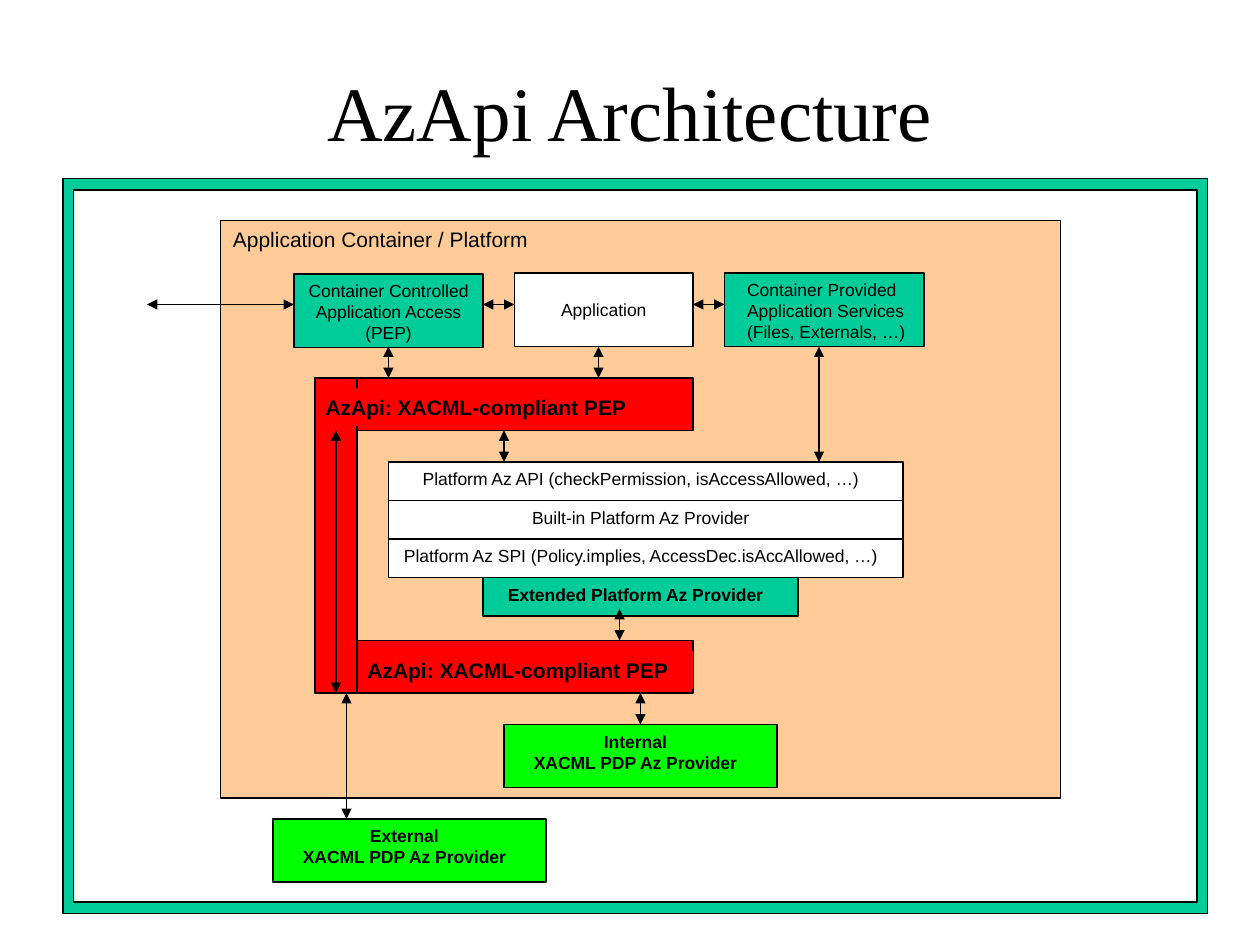
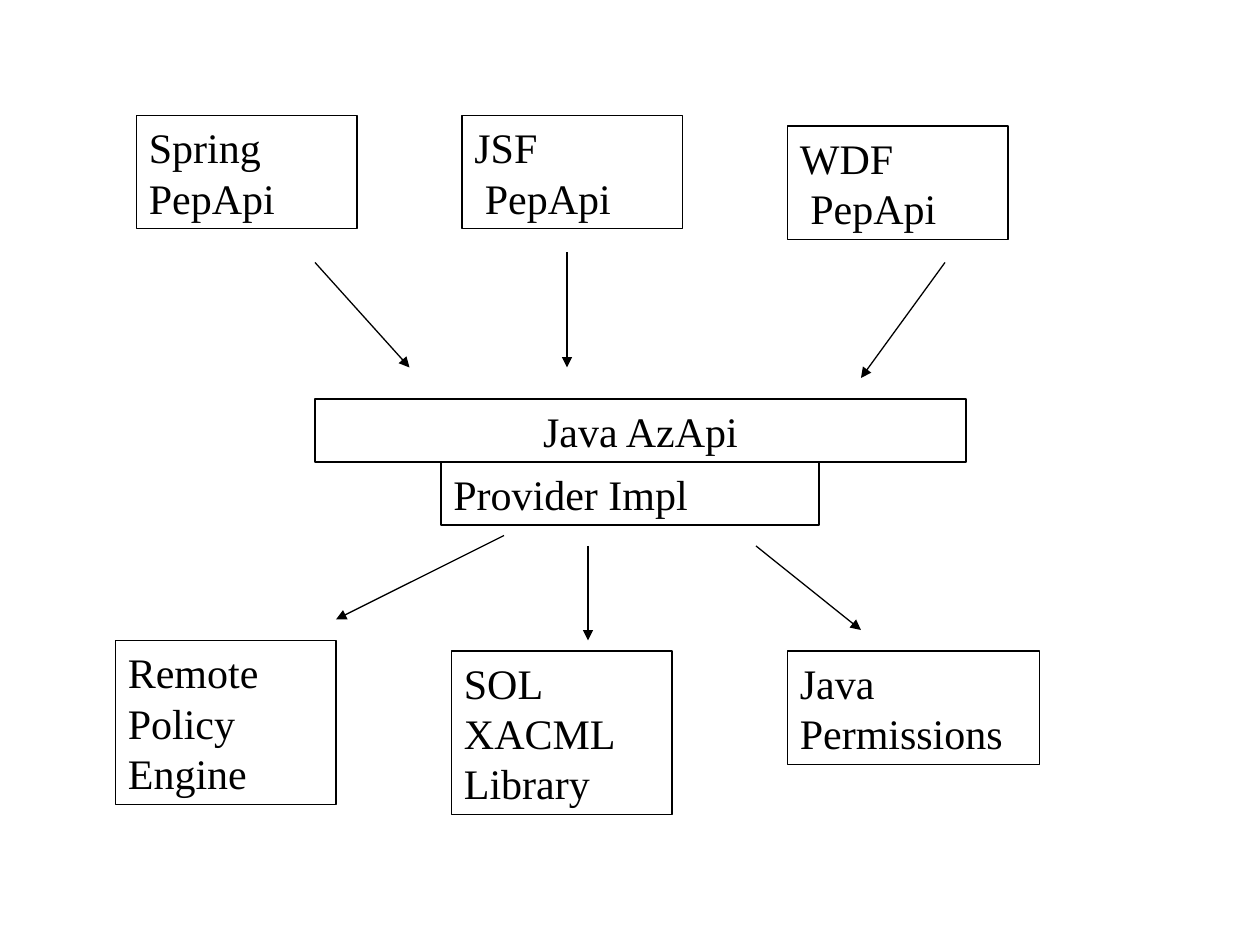
"""Builds the AzApi architecture slides on a grid of twelfths of an inch."""
from dataclasses import dataclass

from lxml import etree
from pptx import Presentation, util as u
from pptx.dml.color import RGBColor
from pptx.enum import shapes, text
from pptx.oxml.ns import qn

COLS, ROWS = 120, 90
CELL = u.Inches(10) / COLS
SANS, SERIF = "Arial", "Times New Roman"
BLACK, WHITE, TEAL, SAND = "000000", "FFFFFF", "00CC99", "FFCC99"
RED, GREEN = "FF0000", "00FF00"
LEFT, CENTER = text.PP_ALIGN.LEFT, text.PP_ALIGN.CENTER
TOP, MIDDLE = text.MSO_ANCHOR.TOP, text.MSO_ANCHOR.MIDDLE
TIER = 11 / 3


@dataclass
class Box:
    """A rectangle with its text, placed in grid cells."""
    left: float
    top: float
    width: float
    height: float
    words: str = ""
    fill: str | None = WHITE
    size: float = 10
    bold: bool = False
    align: text.PP_ALIGN = CENTER
    anchor: text.MSO_ANCHOR = TOP
    pad_left: float = 0.1
    pad_right: float = 0.1
    font: str = SANS
    outlined: bool = True


@dataclass
class Arrow:
    """A straight arrow between two grid points."""
    x1: float
    y1: float
    x2: float
    y2: float


def grid(cells: float) -> int:
    """Turns grid cells into a length."""
    return round(cells * CELL)


def rgb(code: str) -> RGBColor:
    """Turns a hex string into a colour."""
    return RGBColor.from_string(code)


def style_text(tf, font: str, size: float, bold: bool, align: text.PP_ALIGN) -> None:
    """Formats every paragraph of a text frame alike."""
    for p in tf.paragraphs:
        p.alignment = align
        p.font.name, p.font.size, p.font.bold = font, u.Pt(size), bold
        p.font.color.rgb = rgb(BLACK)


def draw_box(slide, box: Box) -> None:
    """Draws one rectangle and its text."""
    sp = slide.shapes.add_shape(shapes.MSO_SHAPE.RECTANGLE, grid(box.left), grid(box.top),
                                grid(box.width), grid(box.height))
    sp.shadow.inherit = False
    if box.fill:
        sp.fill.solid()
        sp.fill.fore_color.rgb = rgb(box.fill)
    else:
        sp.fill.background()
    if box.outlined:
        sp.line.color.rgb = rgb(BLACK)
        sp.line.width = u.Pt(0.75)
    else:
        sp.line.fill.background()
    if box.words:
        tf = sp.text_frame
        tf.text = box.words
        tf.word_wrap = True
        tf.vertical_anchor = box.anchor
        tf.margin_left, tf.margin_right = u.Inches(box.pad_left), u.Inches(box.pad_right)
        tf.margin_top = tf.margin_bottom = u.Inches(0.05)
        style_text(tf, box.font, box.size, box.bold, box.align)


def draw_arrow(slide, arrow: Arrow, ends: tuple[str, ...]) -> None:
    """Draws one arrow with triangles at the given ends."""
    cx = slide.shapes.add_connector(shapes.MSO_CONNECTOR.STRAIGHT, grid(arrow.x1),
                                    grid(arrow.y1), grid(arrow.x2), grid(arrow.y2))
    cx.line.color.rgb = rgb(BLACK)
    cx.line.width = u.Pt(0.75)
    ln = cx.line._get_or_add_ln()
    for end in ends:
        etree.SubElement(ln, qn(f"a:{end}"), type="triangle")
    etree.SubElement(cx._element.spPr, qn("a:effectLst"))


def draw_all(slide, boxes: list[Box], arrows: list[Arrow], ends: tuple[str, ...]) -> None:
    """Draws the boxes, then the arrows over them."""
    for box in boxes:
        draw_box(slide, box)
    for arrow in arrows:
        draw_arrow(slide, arrow, ends)


def pep_label(left: float, top: float, width: float) -> Box:
    """Makes the label of a red enforcement bar."""
    return Box(left, top, width, 3.6, "AzApi: XACML-compliant PEP", RED, 12, True, LEFT,
               pad_left=0, outlined=False)


def pdp_box(left: float, top: float, place: str) -> Box:
    """Makes a green decision provider box."""
    return Box(left, top, 26, 6, f"{place}\nXACML PDP Az Provider", GREEN, bold=True,
               pad_right=0.18)


def note_box(left: float, top: float, width: float, words: str,
             align: text.PP_ALIGN = LEFT) -> Box:
    """Makes an unfilled serif box as tall as its lines."""
    height = 1.2 + 4.8 * len(words.split("\n"))
    return Box(left, top, width, height, words, None, 24, align=align, font=SERIF)


def architecture_slide(prs) -> None:
    """Builds the container and provider diagram."""
    slide = prs.slides.add_slide(prs.slide_layouts[5])
    title = slide.shapes.title
    title.left, title.top, title.width, title.height = map(grid, (9, 3, 102, 15))
    title.text_frame.text = "AzApi Architecture"
    title.text_frame.vertical_anchor = MIDDLE
    style_text(title.text_frame, SERIF, 44, False, CENTER)

    tiers = ["Platform Az API (checkPermission, isAccessAllowed, …)",
             "Built-in Platform Az Provider",
             "Platform Az SPI (Policy.implies, AccessDec.isAccAllowed, …)"]
    boxes = [
        Box(6, 17, 109, 70, fill=TEAL),
        Box(7, 18.1, 107, 67.8),
        Box(21, 21, 80, 55, "Application Container / Platform", SAND, 12, align=LEFT),
        Box(30, 36, 36, 5, fill=RED),
        Box(30, 61, 36, 5, fill=RED),
        Box(30, 36, 4, 30, fill=RED),
        pep_label(31, 37, 33),
        pep_label(35, 62, 31),
        *(Box(37, 44 + i * TIER, 49, TIER, words, pad_right=0.18)
          for i, words in enumerate(tiers)),
        Box(46, 55, 30, TIER, "Extended Platform Az Provider", TEAL, bold=True, pad_right=0.18),
        Box(28, 26.1, 18, 7, "Container Controlled Application Access (PEP)", TEAL),
        Box(69, 26, 19, 7, "Container Provided Application Services (Files, Externals, …)",
            TEAL, align=LEFT, pad_left=0.18, pad_right=0),
        Box(49, 26, 17, 7, "Application", anchor=MIDDLE),
        pdp_box(48, 69, "Internal"),
        pdp_box(26, 78, "External"),
    ]
    across = [(14, 28), (46, 49), (66, 69)]
    down = [(32, 41, 66), (33, 66, 78), (37, 33, 36), (57, 33, 36), (78, 33, 44),
            (48, 41, 44), (59, 58, 61), (61, 66, 69)]
    arrows = [Arrow(x1, 29, x2, 29) for x1, x2 in across]
    arrows += [Arrow(x, y1, x, y2) for x, y1, y2 in down]
    draw_all(slide, boxes, arrows, ("headEnd", "tailEnd"))


def java_slide(prs) -> None:
    """Builds the Java API and provider diagram."""
    slide = prs.slides.add_slide(prs.slide_layouts[6])
    boxes = [
        note_box(30, 38, 62, "Java AzApi", CENTER),
        note_box(42, 44, 36, "Provider Impl"),
        note_box(11, 61, 21, "Remote\nPolicy\nEngine"),
        note_box(43, 62, 21, "SOL\nXACML\nLibrary"),
        note_box(75, 62, 24, "Java\nPermissions"),
        note_box(13, 11, 21, "Spring\nPepApi"),
        note_box(44, 11, 21, "JSF\n PepApi"),
        note_box(75, 12, 21, "WDF\n PepApi"),
    ]
    arrows = [Arrow(30, 25, 39, 35), Arrow(54, 24, 54, 35), Arrow(90, 25, 82, 36),
              Arrow(48, 51, 32, 59), Arrow(56, 52, 56, 61), Arrow(72, 52, 82, 60)]
    draw_all(slide, boxes, arrows, ("tailEnd",))


def main() -> None:
    """Builds and saves the presentation."""
    prs = Presentation()
    prs.slide_width, prs.slide_height = grid(COLS), grid(ROWS)
    architecture_slide(prs)
    java_slide(prs)
    prs.save("out.pptx")


if __name__ == "__main__":
    main()
